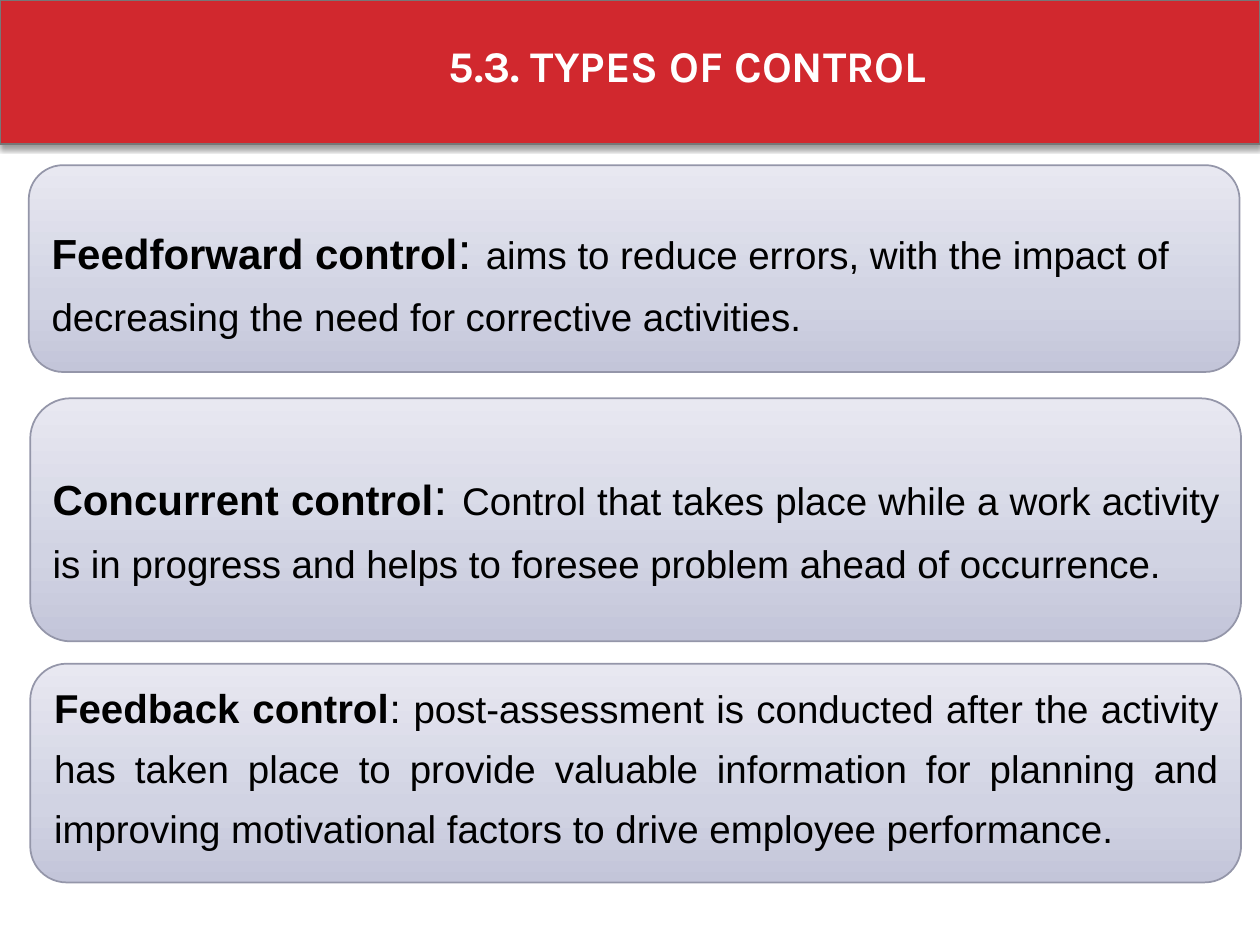
import pptx
import pptx.dml.color
import pptx.enum.shapes
import pptx.enum.text
import pptx.oxml
import pptx.oxml.ns
import pptx.util
from pptx.util import Cm

SHAPES = pptx.enum.shapes.MSO_SHAPE
ALIGN = pptx.enum.text.PP_ALIGN
NAMESPACE = pptx.oxml.ns.nsdecls("a")


def color(hex_string):
    return pptx.dml.color.RGBColor.from_string(hex_string)


def add_run(paragraph, text, size, bold, font_name, hex_string):
    run = paragraph.add_run()
    run.text = text
    font_format = {"size": pptx.util.Pt(size), "bold": bold, "name": font_name}
    for attribute, value in font_format.items():
        setattr(run.font, attribute, value)
    run.font.color.rgb = color(hex_string)


presentation = pptx.Presentation()
presentation.slide_width = Cm(25.4)
presentation.slide_height = Cm(19.05)
slide = presentation.slides.add_slide(presentation.slide_layouts[6])

# Red banner with a soft shadow below it
banner = slide.shapes.add_shape(SHAPES.RECTANGLE, 0, 0, Cm(25.4), Cm(2.9))
banner.fill.solid()
banner.fill.fore_color.rgb = color("D1282E")
banner.line.color.rgb = color("777777")
banner.line.width = pptx.util.Pt(1)
banner._element.spPr.append(pptx.oxml.parse_xml(
    f'<a:effectLst {NAMESPACE}>'
    '<a:outerShdw blurRad="39000" dist="23000" dir="5400000" rotWithShape="0">'
    '<a:srgbClr val="000000"><a:alpha val="40000"/></a:srgbClr>'
    '</a:outerShdw></a:effectLst>'))

# Title
title = slide.shapes.add_textbox(Cm(2.31), Cm(0.66), Cm(23.09), Cm(1.32))
title.text_frame.word_wrap = True
title_paragraph = title.text_frame.paragraphs[0]
title_paragraph.alignment = ALIGN.CENTER
add_run(title_paragraph, "5.3. TYPES OF CONTROL", 25, True, "Karla", "FFFFFF")

# Control types: card box, text box, alignment, runs of (text, size, bold)
cards = [
    ((0.58, 3.33, 24.41, 4.17), (0.79, 3.56, 24, 3.76), ALIGN.LEFT, [
        ("Feedforward control", 24, True),
        (": ", 29, False),
        ("aims to reduce errors, with the impact of decreasing the need for "
         "corrective activities.", 22, False)]),
    ((0.61, 8.03, 24.41, 4.9), (0.81, 7.47, 24.03, 5.87), ALIGN.JUSTIFY, [
        ("Concurrent control", 24, True),
        (": ", 29, False),
        ("Control that takes place while a work activity is in progress and "
         "helps to foresee problem ahead of occurrence.", 22, False)]),
    ((0.61, 13.38, 24.41, 4.41), (0.84, 13.33, 23.98, 3.99), ALIGN.JUSTIFY, [
        ("Feedback control", 23, True),
        (": ", 23, False),
        ("post-assessment is conducted after the activity has taken place to "
         "provide valuable information for planning and improving "
         "motivational factors to drive employee performance.", 22, False)]),
]
gradient_stops = [(0, "C3C5D9"), (35, "D1D3E3"), (100, "E8E8F1")]
frame_format = {
    "word_wrap": True,
    "vertical_anchor": pptx.enum.text.MSO_ANCHOR.MIDDLE,
    "margin_left": Cm(0.25),
    "margin_right": Cm(0.25),
    "margin_top": Cm(0.25),
    "margin_bottom": Cm(0.25),
}

for card_box, text_box, alignment, runs in cards:
    group = slide.shapes.add_group_shape()

    # Rounded card, darker towards the bottom
    card = group.shapes.add_shape(SHAPES.ROUNDED_RECTANGLE, *map(Cm, card_box))
    card.shadow.inherit = False
    card.line.color.rgb = color("9496A9")
    card.line.width = pptx.util.Pt(1)
    card.fill.gradient()
    card.fill.gradient_angle = 90
    stop_list = card._element.spPr.find(".//" + pptx.oxml.ns.qn("a:gsLst"))
    stop_list.clear()
    for position, hex_string in gradient_stops:
        stop_list.append(pptx.oxml.parse_xml(
            f'<a:gs {NAMESPACE} pos="{position * 1000}">'
            f'<a:srgbClr val="{hex_string}"/></a:gs>'))

    # Card text
    label = group.shapes.add_textbox(*map(Cm, text_box))
    for attribute, value in frame_format.items():
        setattr(label.text_frame, attribute, value)
    paragraph = label.text_frame.paragraphs[0]
    paragraph_format = {"alignment": alignment, "line_spacing": 1.3,
                        "space_after": pptx.util.Pt(6)}
    for attribute, value in paragraph_format.items():
        setattr(paragraph, attribute, value)
    for text, size, bold in runs:
        add_run(paragraph, text, size, bold, "Arial", "000000")

presentation.save("out.pptx")
